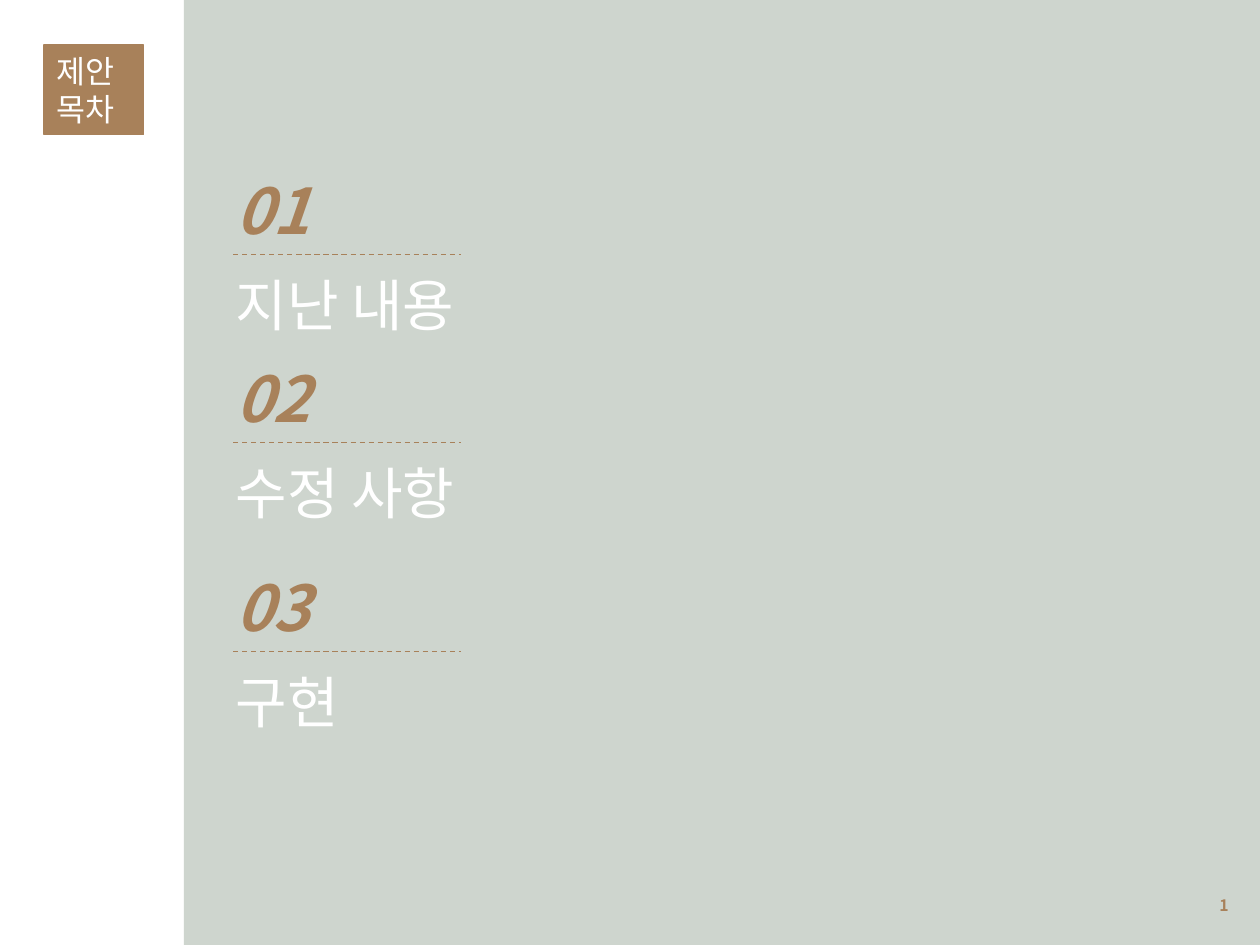
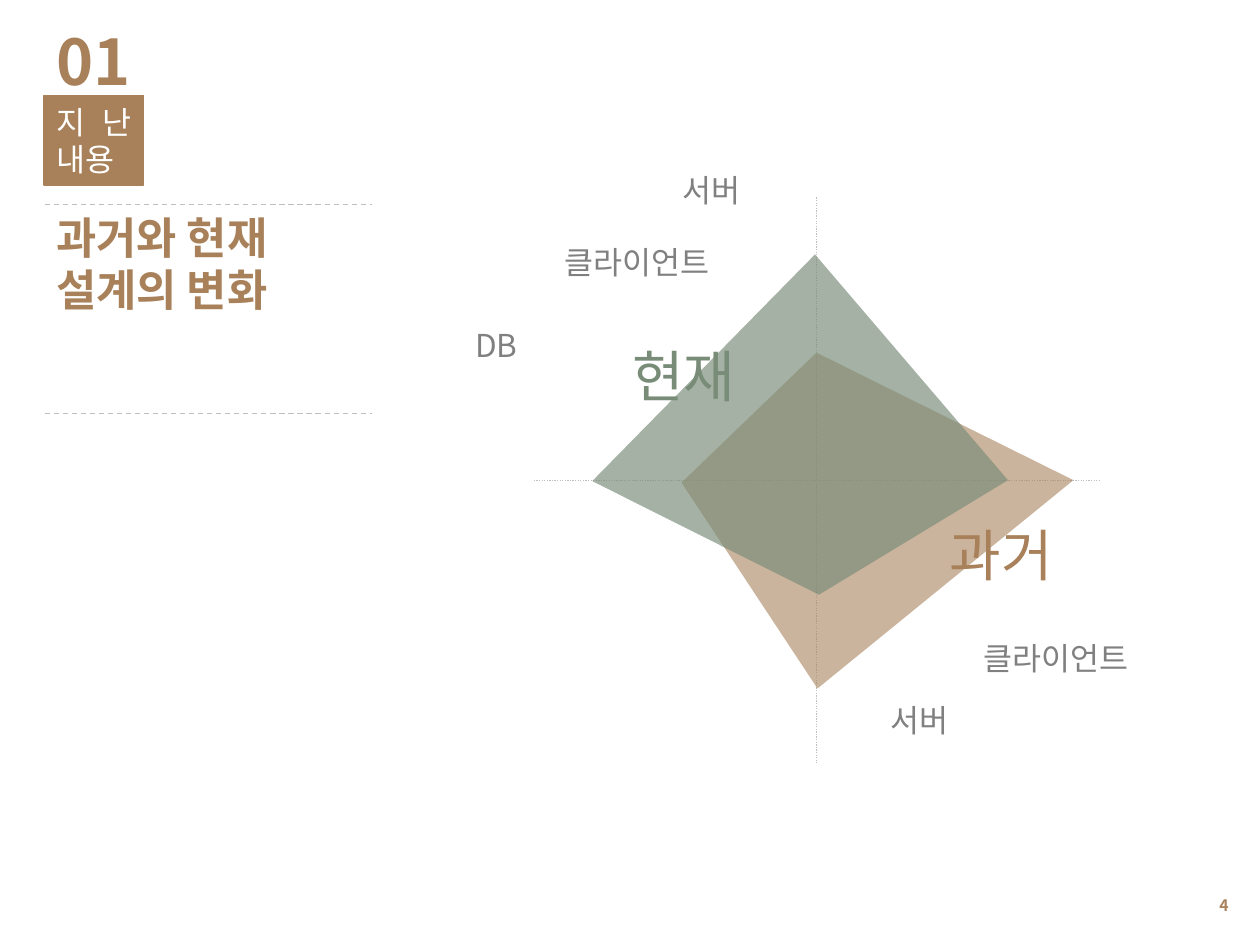
from lxml.etree import SubElement
from pptx import Presentation
from pptx.dml.color import RGBColor
from pptx.enum.dml import MSO_LINE as Dash
from pptx.enum.shapes import MSO_CONNECTOR as Link, MSO_SHAPE as Shape
from pptx.enum.text import MSO_ANCHOR as Anchor, MSO_AUTO_SIZE as Fit, PP_ALIGN as Align
from pptx.oxml.ns import qn
from pptx.util import Cm, Pt

FONT = "Noto Sans CJK KR"
BROWN = RGBColor(0xA8, 0x81, 0x5A)
GREEN = RGBColor(0x78, 0x8C, 0x78)
SAGE = RGBColor(0xCE, 0xD5, 0xCE)
WHITE = RGBColor(0xFF, 0xFF, 0xFF)
GRAY = RGBColor(0x80, 0x80, 0x80)
SILVER = RGBColor(0xBF, 0xBF, 0xBF)

NUMBER = {"size": Pt(36), "bold": True}
ITALIC = {**NUMBER, "italic": True}
HEAD = {"size": Pt(25), "bold": True}
LARGE = {"size": Pt(32)}
SMALL = {"size": Pt(18)}
PAGE = {"size": Pt(9), "bold": True}


def write(frame, text, style, color, align=Align.LEFT):
    """Fill a text frame, one paragraph for each line of text."""
    frame.word_wrap = True
    for i, line in enumerate(text.split("\n")):
        para = frame.paragraphs[0] if i == 0 else frame.add_paragraph()
        para.alignment = align
        run = para.add_run()
        run.text = line
        font = run.font
        for key, value in {"name": FONT, **style}.items():
            setattr(font, key, value)
        font.color.rgb = color
        SubElement(run._r.get_or_add_rPr(), qn("a:ea"), typeface=FONT)


def add_text(slide, box, text, style, color, align=Align.LEFT):
    frame = slide.shapes.add_textbox(*map(Cm, box)).text_frame
    write(frame, text, style, color, align)
    frame.auto_size = Fit.SHAPE_TO_FIT_TEXT
    return frame


def add_rect(slide, box, color):
    rect = slide.shapes.add_shape(Shape.RECTANGLE, *map(Cm, box))
    rect.shadow.inherit = False
    rect.fill.solid()
    rect.fill.fore_color.rgb = color
    rect.line.fill.background()
    return rect


def add_badge(slide, top, text):
    badge = add_rect(slide, (0.89, top, 2.01, 1.8), BROWN)
    badge.line.color.rgb = BROWN
    badge.line.width = Pt(0.75)
    frame = badge.text_frame
    frame.vertical_anchor = Anchor.MIDDLE
    write(frame, text, SMALL, WHITE, Align.JUSTIFY)


def add_line(slide, ends, color, dash=Dash.DASH):
    link = slide.shapes.add_connector(Link.STRAIGHT, *map(Cm, ends))
    line = link.line
    line.color.rgb = color
    line.width = Pt(0.75)
    line.dash_style = dash
    SubElement(link._element.spPr, qn("a:effectLst"))


def add_kite(slide, points, color, alpha):
    """Draw a closed outline with a see-through fill; alpha is in percent."""
    first, *rest = [(Cm(x), Cm(y)) for x, y in points]
    path = slide.shapes.build_freeform(*first)
    path.add_line_segments(rest, close=True)
    kite = path.convert_to_shape()
    kite.shadow.inherit = False
    kite.fill.solid()
    kite.fill.fore_color.rgb = color
    kite.line.fill.background()
    tint = kite._element.spPr.find(qn("a:solidFill"))[0]
    SubElement(tint, qn("a:alpha"), val=str(alpha * 1000))


def add_page(slide, number):
    frame = add_text(slide, (19.1, 17.73, 5.92, 1.02), number, PAGE, BROWN, Align.RIGHT)
    frame.auto_size = Fit.NONE
    frame.vertical_anchor = Anchor.MIDDLE


def add_entry(slide, top, number, title):
    add_text(slide, (4.5, top, 3.2, 1.8), number, ITALIC, BROWN)
    add_line(slide, (4.7, top + 1.8, 9.3, top + 1.8), BROWN)
    add_text(slide, (4.5, top + 2, 8, 1.63), title, LARGE, WHITE)


def make_index(slide):
    add_rect(slide, (3.71, 0, 21.69, 19.05), SAGE)
    add_page(slide, "1")
    add_badge(slide, 0.91, "제안\n목차")
    entries = ((3.33, "지난 내용"), (7.12, "수정 사항"), (11.33, "구현"))
    for i, (top, title) in enumerate(entries, 1):
        add_entry(slide, top, f"{i:02}", title)


def make_change(slide):
    add_text(slide, (12.5, 6.76, 2.79, 1.63), "현재", LARGE, GREEN)
    add_page(slide, "4")

    mid_x, mid_y, reach = 16.46, 9.68, 5.7
    add_line(slide, (mid_x, mid_y - reach, mid_x, mid_y + reach), SILVER, Dash.ROUND_DOT)
    add_line(slide, (mid_x - reach, mid_y, mid_x + reach, mid_y), SILVER, Dash.ROUND_DOT)
    past = (16.46, 7.11), (13.74, 9.73), (16.48, 13.88), (21.64, 9.68)
    now = (16.43, 5.13), (11.94, 9.7), (16.51, 11.99), (20.32, 9.68)
    add_kite(slide, past, BROWN, 59)
    add_kite(slide, now, GREEN, 67)
    add_text(slide, (18.9, 10.36, 2.79, 1.63), "과거", LARGE, BROWN)

    add_text(slide, (0.89, 0.33, 3.2, 1.8), "01", NUMBER, BROWN)
    add_badge(slide, 1.93, "지난내용")
    for y in (4.12, 8.33):
        add_line(slide, (0.9, y, 7.5, y), SILVER)
    add_text(slide, (0.89, 4.12, 5.8, 2.39), "과거와 현재\n설계의 변화", HEAD, BROWN)

    labels = (
        (13.5, 3.33, "서버"),
        (17.7, 14, "서버"),
        (19.58, 12.75, "클라이언트"),
        (11.14, 4.78, "클라이언트"),
        (9.33, 6.45, "DB"),
    )
    for x, y, text in labels:
        add_text(slide, (x, y, 3.6, 1.02), text, SMALL, GRAY)


def main():
    deck = Presentation()
    deck.slide_width, deck.slide_height = Cm(25.4), Cm(19.05)
    for make in (make_index, make_change):
        make(deck.slides.add_slide(deck.slide_layouts[6]))
    deck.save("out.pptx")


if __name__ == "__main__":
    main()
